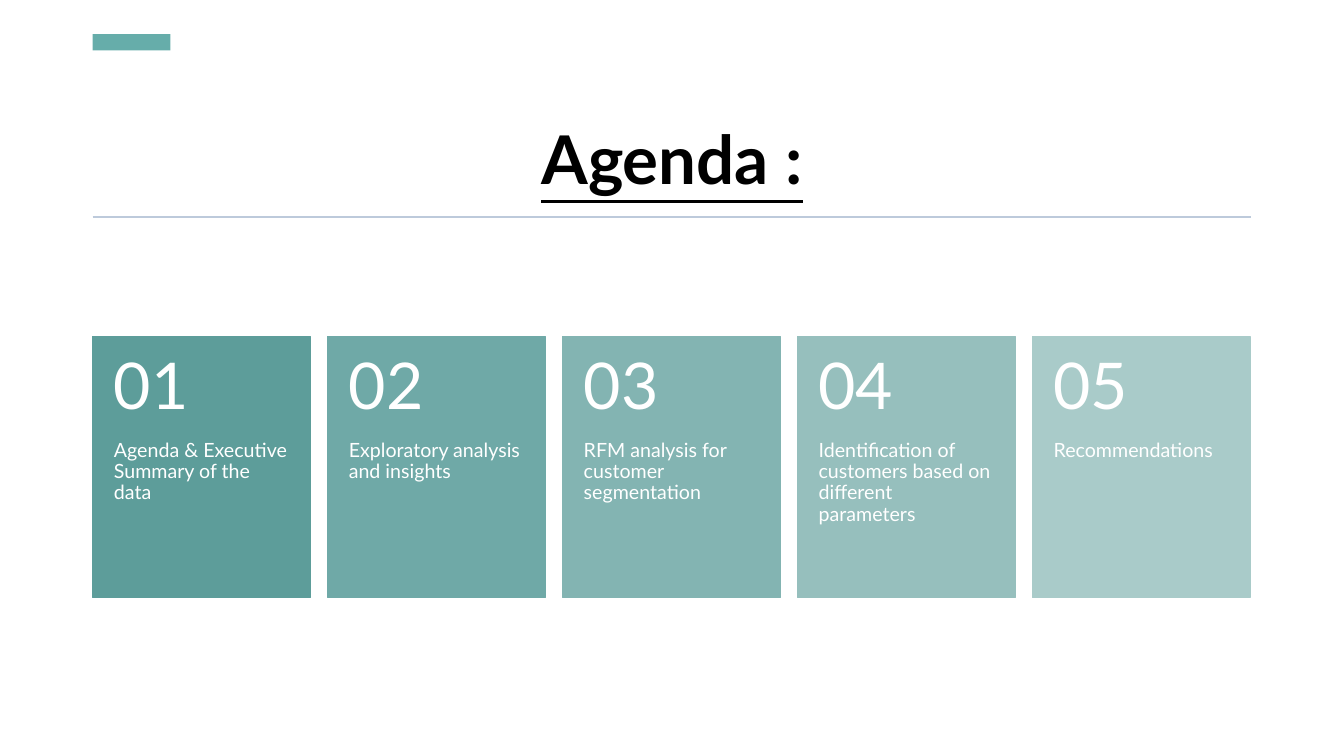
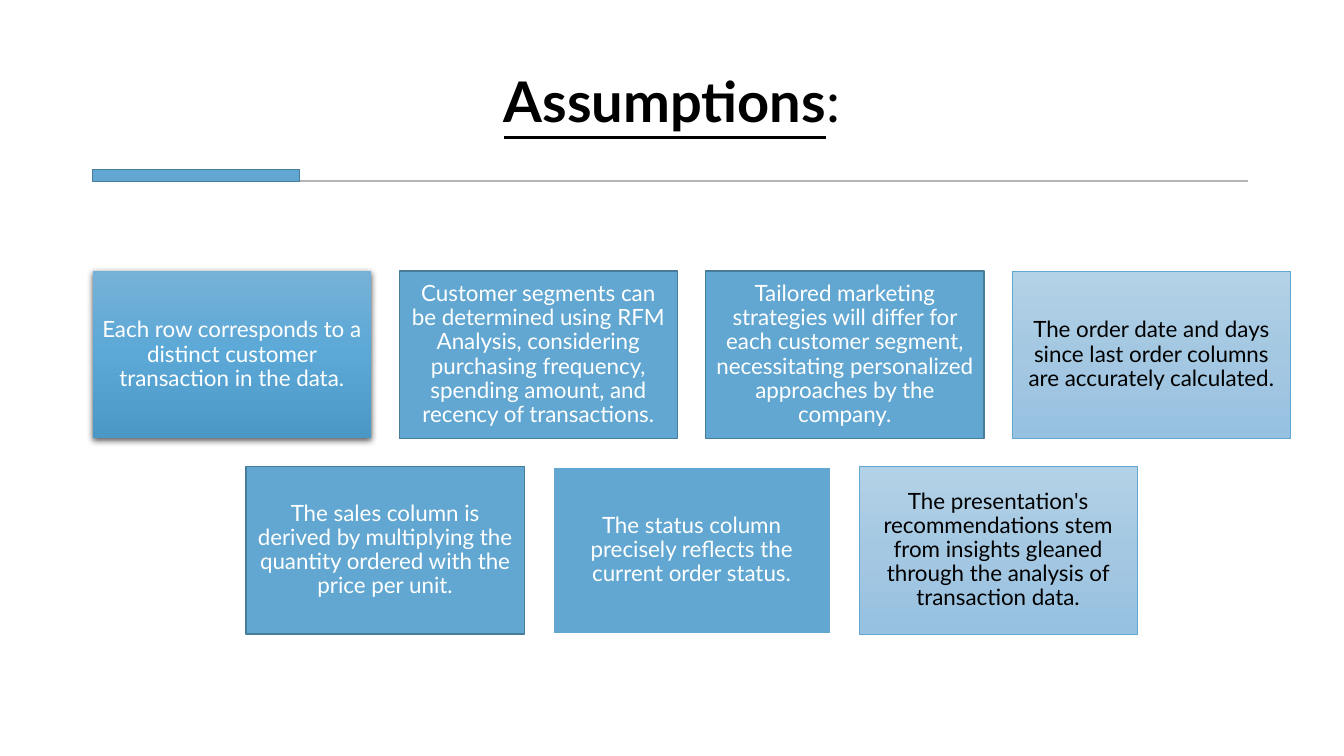
from copy import deepcopy

from lxml.etree import SubElement
from pptx import Presentation
from pptx.dml.color import RGBColor
from pptx.enum.shapes import MSO_CONNECTOR, MSO_SHAPE
from pptx.enum.text import MSO_ANCHOR, MSO_AUTO_SIZE, PP_ALIGN
from pptx.oxml.ns import qn
from pptx.util import Pt

PX = 9144
FONT = "Lato"
COLORS = {
    "black": "000000",
    "white": "FFFFFF",
    "teal": "66ADAA",
    "blue": "61A7D1",
    "dark_blue": "487C9B",
    "pale_rule": "BDCADB",
    "grey_rule": "B4B4B4",
}
CARD_COLORS = ["5D9D9A", "6FA9A7", "83B4B2", "96BFBD", "A9CBC9"]
BOX_STYLES = {
    "raised": (["76B1D7", "5BA8D7", "4B97C5"], None, 0, "white"),
    "solid": ([COLORS["blue"]], COLORS["dark_blue"], 1, "white"),
    "framed": ([COLORS["blue"]], COLORS["white"], 1.5, "white"),
    "light": (["B3D1E7", "A5C8E2", "96C1E1"], COLORS["blue"], 0.5, "black"),
}


def add_box(slide, bounds, fills, line=None, line_width=1):
    shape = slide.shapes.add_shape(MSO_SHAPE.RECTANGLE, *[value * PX for value in bounds])
    shape.shadow.inherit = False
    if len(fills) == 1:
        shape.fill.solid()
        shape.fill.fore_color.rgb = RGBColor.from_string(fills[0])
    else:
        shape.fill.gradient()
        shape.fill.gradient_angle = 270
        stop_list = shape._element.spPr.find(qn("a:gradFill")).find(qn("a:gsLst"))
        stop_list.insert(1, deepcopy(stop_list[0]))
        for index, stop in enumerate(shape.fill.gradient_stops):
            stop.position = index / 2
            stop.color.rgb = RGBColor.from_string(fills[index])
    if line:
        shape.line.color.rgb = RGBColor.from_string(line)
        shape.line.width = Pt(line_width)
    else:
        shape.line.fill.background()
    return shape


def write_text(shape, text, size, color, alignment, anchor, margins):
    frame = shape.text_frame
    frame.text = text
    frame.word_wrap = True
    frame.auto_size = MSO_AUTO_SIZE.NONE
    frame.vertical_anchor = anchor
    frame.margin_left = frame.margin_right = margins[0] * PX
    frame.margin_top = margins[1] * PX
    frame.margin_bottom = margins[2] * PX
    paragraph = frame.paragraphs[0]
    paragraph.alignment = alignment
    paragraph.line_spacing = 0.9
    font = paragraph.runs[0].font
    font.name = FONT
    font.size = Pt(size)
    font.color.rgb = RGBColor.from_string(COLORS[color])
    return paragraph


presentation = Presentation()
presentation.slide_width = 1333 * PX
presentation.slide_height = 750 * PX

headings = [
    ("Agenda :", "", 48, 75, 127, (92, 1241, 215), "pale_rule"),
    ("Assumptions", ":", 40, 28, 111, (95, 1238, 180), "grey_rule"),
]
slides = []
for heading, suffix, size, top, height, (start, end, rule_top), rule_color in headings:
    slide = presentation.slides.add_slide(presentation.slide_layouts[5])
    slides.append(slide)
    title = slide.shapes.title
    title.left, title.top, title.width, title.height = 92 * PX, top * PX, 1149 * PX, height * PX
    paragraph = write_text(
        title, heading, size, "black", PP_ALIGN.CENTER, MSO_ANCHOR.BOTTOM, (10, 5, 5)
    )
    paragraph.runs[0].font.bold = True
    paragraph.runs[0].font.underline = True
    if suffix:
        run = paragraph.add_run()
        run.text = suffix
        run.font.name = FONT
        run.font.size = Pt(size)
        run.font.bold = False
        run.font.color.rgb = RGBColor.from_string(COLORS["black"])
    rule = slide.shapes.add_connector(
        MSO_CONNECTOR.STRAIGHT, start * PX, rule_top * PX, end * PX, rule_top * PX
    )
    rule.line.color.rgb = RGBColor.from_string(COLORS[rule_color])
    rule.line.width = Pt(1.5)
    SubElement(rule._element.spPr, qn("a:effectLst"))

agenda, assumptions = slides

add_box(agenda, (92, 34, 77, 16), [COLORS["teal"]])
topics = [
    "Agenda & Executive Summary of the data",
    "Exploratory analysis and insights",
    "RFM analysis for customer segmentation",
    "Identification of customers based on different parameters",
    "Recommendations",
]
for index, (topic, color) in enumerate(zip(topics, CARD_COLORS)):
    left = 92 + index * 233
    add_box(agenda, (left, 334, 216, 259), [color], color)
    labels = [
        (f"{index + 1:02d}", 46, 334, 104, MSO_ANCHOR.MIDDLE, (21, 18, 18)),
        (topic, 14, 437, 155, MSO_ANCHOR.TOP, (21, 0, 36)),
    ]
    for text, size, top, height, anchor, margins in labels:
        label = agenda.shapes.add_textbox(left * PX, top * PX, 216 * PX, height * PX)
        write_text(label, text, size, "white", PP_ALIGN.LEFT, anchor, margins)

add_box(assumptions, (92, 168, 205, 12), [COLORS["blue"]], COLORS["dark_blue"])
box_rows = [
    (92, 269, [
        ("raised", "Each row corresponds to a distinct customer transaction in the data."),
        ("solid", "Customer segments can be determined using RFM Analysis, considering "
                  "purchasing frequency, spending amount, and recency of transactions."),
        ("solid", "Tailored marketing strategies will differ for each customer segment, "
                  "necessitating personalized approaches by the company."),
        ("light", "The order date and days since last order columns are accurately calculated."),
    ]),
    (244, 463, [
        ("solid", "The sales column is derived by multiplying the quantity ordered with "
                  "the price per unit."),
        ("framed", "The status column precisely reflects the current order status."),
        ("light", "The presentation's recommendations stem from insights gleaned through "
                  "the analysis of transaction data."),
    ]),
]
for row_left, top, boxes in box_rows:
    for index, (style, text) in enumerate(boxes):
        fills, line, line_width, text_color = BOX_STYLES[style]
        bounds = (row_left + index * 304, top, 276, 166)
        box = add_box(assumptions, bounds, fills, line, line_width)
        write_text(box, text, 16, text_color, PP_ALIGN.CENTER, MSO_ANCHOR.MIDDLE, (7, 7, 7))
        if style == "raised":
            effects = box._element.spPr.find(qn("a:effectLst"))
            shadow = SubElement(
                effects, qn("a:outerShdw"), blurRad=str(Pt(4.5)), dist=str(Pt(1.5)),
                dir="5400000", algn="ctr", rotWithShape="0",
            )
            shadow_color = SubElement(shadow, qn("a:srgbClr"), val=COLORS["black"])
            SubElement(shadow_color, qn("a:alpha"), val="63000")

presentation.save("out.pptx")
